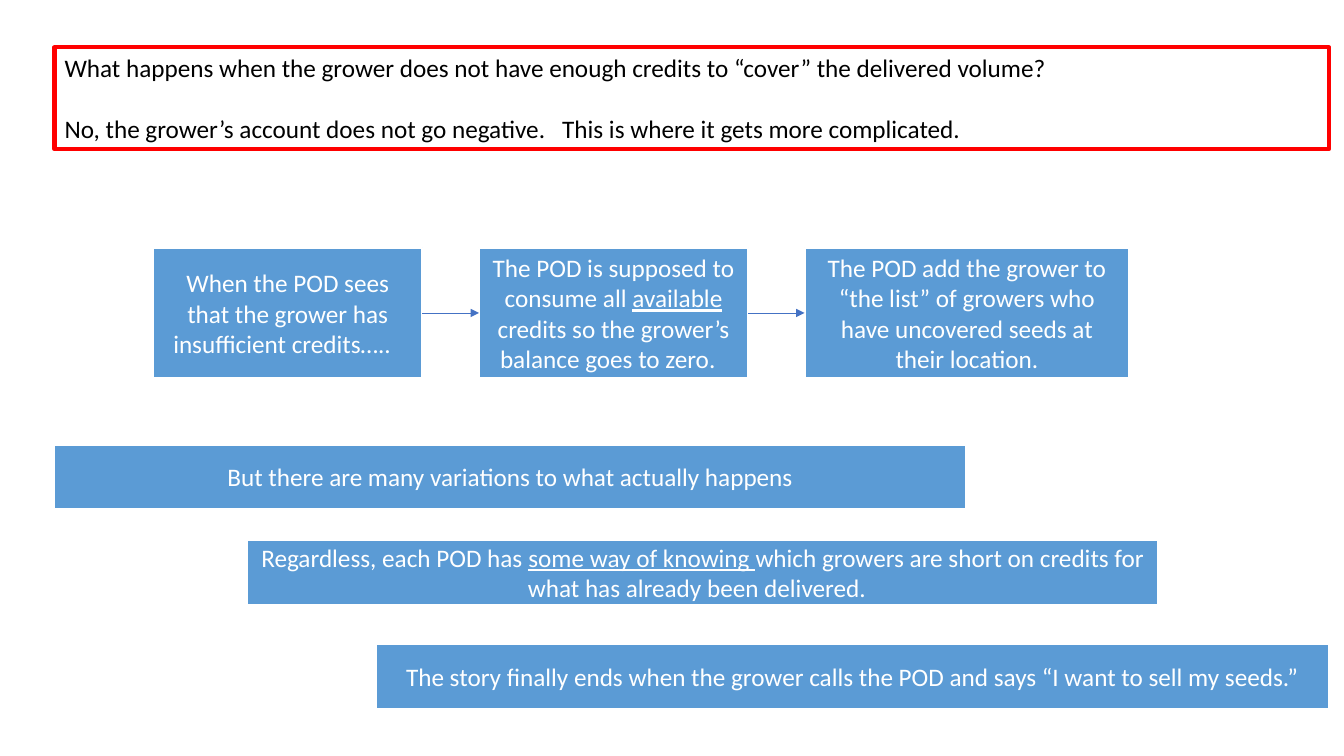
from lxml import etree
from pptx import Presentation
from pptx.dml.color import RGBColor
from pptx.enum.shapes import MSO_CONNECTOR, MSO_SHAPE
from pptx.enum.text import MSO_ANCHOR, MSO_AUTO_SIZE, PP_ALIGN
from pptx.oxml.ns import qn
from pptx.util import Emu, Pt

RECTANGLE = MSO_SHAPE.RECTANGLE
STRAIGHT = MSO_CONNECTOR.STRAIGHT
LEFT, CENTER = PP_ALIGN.LEFT, PP_ALIGN.CENTER
TOP, MIDDLE = MSO_ANCHOR.TOP, MSO_ANCHOR.MIDDLE
NO_AUTOFIT = MSO_AUTO_SIZE.NONE
LEFT_SIDE, RIGHT_SIDE = 1, 3

EMU_PER_PX = 9144  # 100 px to the inch
FONT, TEXT_SIZE, LINE_HEIGHT = "Calibri", 18, 22
BLACK, WHITE, RED = "000000", "FFFFFF", "FF0000"
BOX_BLUE, ARROW_BLUE = "5B9BD5", "4472C4"

QUESTION = [
    "What happens when the grower does not have enough credits to “cover” the delivered volume?",
    "No, the grower’s account does not go negative.   This is where it gets more complicated.",
]
STEP_TOP, STEP_HEIGHT = 246, 129
# left, width, runs as (text, underlined)
STEPS = [
    (152, 267, [("When the POD sees that the grower has insufficient credits…..  ", False)]),
    (475, 267, [("The POD is supposed to consume all ", False), ("available", True),
                (" credits so the grower’s balance goes to zero.  ", False)]),
    (798, 322, [("The POD add the grower to “the list” of growers who have "
                 "uncovered seeds at their location.", False)]),
]
REMARK_HEIGHT = 64
# left, top, width, runs
REMARKS = [
    (54, 441, 904, [("But there are many variations to what actually happens", False)]),
    (245, 536, 904, [("Regardless, each POD has ", False), ("some way of knowing ", True),
                     ("which growers are short on credits for what has already been "
                      "delivered.  ", False)]),
    (373, 639, 945, [("The story finally ends when the grower calls the POD and says "
                      "“I want to sell my seeds.”", False)]),
]


def px(length):
    return Emu(length * EMU_PER_PX)


def color(hex_string):
    return RGBColor.from_string(hex_string)


def set_line(line, hex_string, width):
    line.color.rgb = color(hex_string)
    line.width = Pt(width)


def add_runs(paragraph, runs, hex_string):
    """Add (text, underlined) pairs to the paragraph."""
    for text, underlined in runs:
        run = paragraph.add_run()
        run.text = text
        run.font.name = FONT
        run.font.size = Pt(TEXT_SIZE)
        run.font.color.rgb = color(hex_string)
        if underlined:
            run.font.underline = True


def fill_title(title):
    title.left, title.top, title.width, title.height = map(px, (54, 47, 1264, 101))
    set_line(title.line, RED, 3)
    frame = title.text_frame
    frame.word_wrap = True
    frame.auto_size = NO_AUTOFIT
    frame.vertical_anchor = TOP
    for index, text in enumerate(QUESTION):
        paragraph = frame.add_paragraph() if index else frame.paragraphs[0]
        paragraph.alignment = LEFT
        paragraph.line_spacing = 1.0
        paragraph.space_before = Pt(LINE_HEIGHT if index else 0)
        add_runs(paragraph, [(text, False)], BLACK)


def add_box(slide, left, top, width, height, runs):
    box = slide.shapes.add_shape(RECTANGLE, px(left), px(top), px(width), px(height))
    box.shadow.inherit = False
    box.fill.solid()
    box.fill.fore_color.rgb = color(BOX_BLUE)
    set_line(box.line, WHITE, 1.5)
    frame = box.text_frame
    frame.word_wrap = True
    frame.vertical_anchor = MIDDLE
    paragraph = frame.paragraphs[0]
    paragraph.alignment = CENTER
    add_runs(paragraph, runs, WHITE)
    return box


def add_arrow(slide, source, target):
    """Join the right side of source to the left side of target."""
    arrow = slide.shapes.add_connector(STRAIGHT, 0, 0, 0, 0)
    arrow.begin_connect(source, RIGHT_SIDE)
    arrow.end_connect(target, LEFT_SIDE)
    set_line(arrow.line, ARROW_BLUE, 0.5)
    properties = arrow.element.spPr
    etree.SubElement(properties.find(qn("a:ln")), qn("a:tailEnd"), type="triangle")
    etree.SubElement(properties, qn("a:effectLst"))


def main():
    presentation = Presentation()
    presentation.slide_width, presentation.slide_height = px(1333), px(750)
    slide = presentation.slides.add_slide(presentation.slide_layouts.get_by_name("Title Only"))
    fill_title(slide.shapes.title)
    steps = [add_box(slide, left, STEP_TOP, width, STEP_HEIGHT, runs)
             for left, width, runs in STEPS]
    for left, top, width, runs in REMARKS:
        add_box(slide, left, top, width, REMARK_HEIGHT, runs)
    for source, target in zip(steps, steps[1:]):
        add_arrow(slide, source, target)
    presentation.save("out.pptx")


if __name__ == "__main__":
    main()
